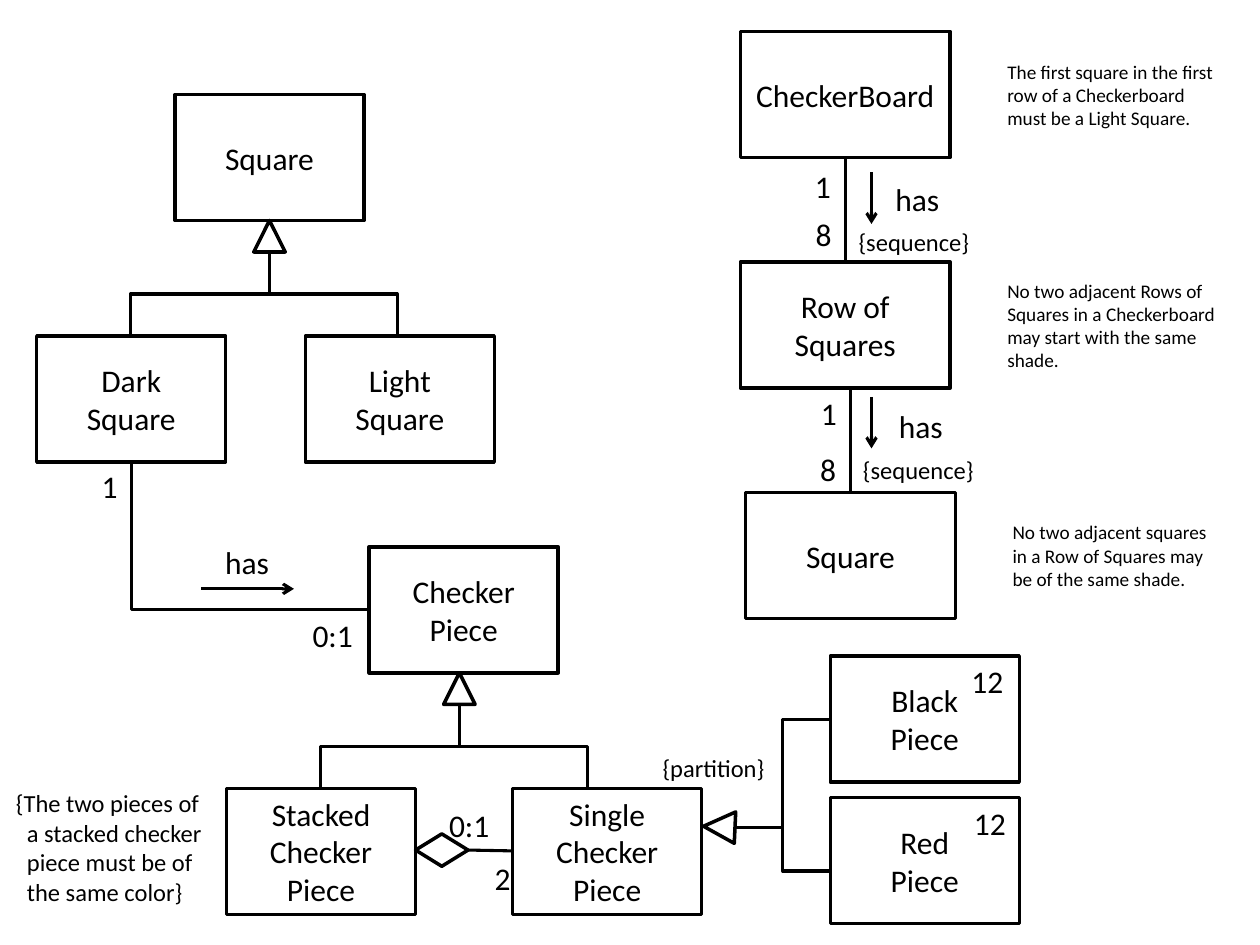
"""Draw a class diagram of a checkers game: squares, pieces and the board."""
from lxml import etree
from pptx import Presentation
from pptx import util as u
from pptx.dml import color
from pptx.enum import shapes, text
from pptx.oxml import ns

COLORS = {"ink": "000000"}
INK = color.RGBColor.from_string(COLORS["ink"])
FONT = "Calibri"
BOX_HEIGHT = 72
CLASS_WIDTH = 108
BOARD_WIDTH = 120
MARKER = 18


def write(shape, words, size, alignment, hanging=0):
    """Fill a shape with one paragraph per line of words."""
    shape.text_frame.text = words
    for index, paragraph in enumerate(shape.text_frame.paragraphs):
        paragraph.alignment = alignment
        paragraph.font.size = u.Pt(size)
        paragraph.font.name = FONT
        paragraph.font.color.rgb = INK
        if index and hanging:
            paragraph._p.get_or_add_pPr().set("marL", str(u.Pt(hanging)))


def add_outline(slide, kind, left, top, width, height):
    """Add an unfilled shape with a black outline."""
    shape = slide.shapes.add_shape(kind, u.Pt(left), u.Pt(top), u.Pt(width), u.Pt(height))
    shape.shadow.inherit = False
    shape.fill.background()
    shape.line.color.rgb = INK
    shape.line.width = u.Pt(2)
    return shape


def add_class(slide, name, left, top, width=CLASS_WIDTH):
    """Add a class box with its centred name."""
    shape = add_outline(slide, shapes.MSO_SHAPE.RECTANGLE, left, top, width, BOX_HEIGHT)
    shape.text_frame.word_wrap = True
    shape.text_frame.vertical_anchor = text.MSO_ANCHOR.MIDDLE
    write(shape, name, 18, text.PP_ALIGN.CENTER)


def add_label(slide, words, left, top, width, height=29, size=18, wrap=False, hanging=0):
    """Add left-aligned text without an outline."""
    label = slide.shapes.add_textbox(u.Pt(left), u.Pt(top), u.Pt(width), u.Pt(height))
    label.text_frame.word_wrap = wrap
    label.text_frame.auto_size = text.MSO_AUTO_SIZE.SHAPE_TO_FIT_TEXT
    write(label, words, size, text.PP_ALIGN.LEFT, hanging)


def add_line(slide, start, end, kind=shapes.MSO_CONNECTOR.STRAIGHT, arrow=False):
    """Add a black connector, with an open arrowhead at its end if asked."""
    connector = slide.shapes.add_connector(kind, *(u.Pt(value) for value in (*start, *end)))
    connector.line.color.rgb = INK
    connector.line.width = u.Pt(1.75)
    properties = connector.element.spPr
    if arrow:
        etree.SubElement(properties.find(ns.qn("a:ln")), ns.qn("a:tailEnd"), type="arrow")
    etree.SubElement(properties, ns.qn("a:effectLst"))
    return connector


def add_drop(slide, start, end):
    """Add an elbow that leaves and arrives vertically."""
    (x1, y1), (x2, y2) = start, end
    middle_x, middle_y = (x1 + x2) / 2, (y1 + y2) / 2
    half_run, half_drop = (x2 - x1) / 2, (y2 - y1) / 2
    connector = add_line(slide, (middle_x - half_drop, middle_y + half_run),
                         (middle_x + half_drop, middle_y - half_run),
                         shapes.MSO_CONNECTOR.ELBOW)
    connector.element.spPr.find(ns.qn("a:xfrm")).set("rot", "5400000")


def generalization(slide, left, top, names, parent_offset, child_step):
    """Draw a parent class above two subclasses."""
    parent, *children = names
    apex, child_top = left + 133, top + 138
    base = top + BOX_HEIGHT + MARKER
    add_class(slide, parent, left + parent_offset, top)
    add_outline(slide, shapes.MSO_SHAPE.ISOSCELES_TRIANGLE,
                apex - MARKER / 2, top + BOX_HEIGHT, MARKER, MARKER)
    for index, (child, branch) in enumerate(zip(children, (53.5, 206))):
        add_class(slide, child, left + index * child_step, child_top)
        add_drop(slide, (apex, base), (left + branch, child_top))


def board_link(slide, x, top, arrow, labels):
    """Draw a line between board classes with its arrow and labels."""
    add_line(slide, (x, top), (x, top + 60))
    arrow_x, arrow_top = arrow
    add_line(slide, (x + arrow_x, top + arrow_top),
             (x + arrow_x, top + arrow_top + 29.5), arrow=True)
    for words, dx, dy, width, size in labels:
        add_label(slide, words, x + dx, top + dy, width, size=size)


def board(slide, left, top):
    """Draw the column of board classes with their rules."""
    rows = [
        ("CheckerBoard", 0, 13, 137.5,
         "The first square in the first row of a Checkerboard must be a Light Square."),
        ("Row of Squares", 0, 6, 137.5,
         "No two adjacent Rows of Squares in a Checkerboard may start with the same shade."),
        ("Square", 3, 12.5, 132,
         "No two adjacent squares in a Row of Squares may be of the same shade."),
    ]
    step = 131.75
    for index, (name, shift, note_drop, note_width, note) in enumerate(rows):
        row_top = top + index * step
        add_class(slide, name, left + shift, row_top, BOARD_WIDTH)
        add_label(slide, note, left + shift + 145.5, row_top + note_drop,
                  note_width, 48, 11, True)
    board_link(slide, left + 60, top + BOX_HEIGHT, (15, 8.5), [
        ("1", -24.5, 2, 24, 18), ("8", -24, 29.5, 24, 18),
        ("{sequence}", 0.5, 36, 78.5, 14), ("has", 21.5, 9.5, 39.5, 18)])
    board_link(slide, left + 63, top + step + BOX_HEIGHT, (12, 5), [
        ("1", -24, 0, 24, 18), ("8", -24.5, 32, 24, 18),
        ("{sequence}", 0, 34.5, 78.5, 14), ("has", 20.5, 7, 39.5, 18)])


def ownership(slide, left, top):
    """Draw the association from a dark square to its checker piece."""
    route = add_line(slide, (left + 136, top + 84.5), (left, top), shapes.MSO_CONNECTOR.ELBOW)
    route.element.spPr.find(ns.qn("a:prstGeom")).set("prst", "bentConnector2")
    add_line(slide, (left + 40, top + 72.5), (left + 93, top + 72.5), arrow=True)
    add_label(slide, "1", left - 24, top - 0.5, 24)
    add_label(slide, "has", left + 46.5, top + 43, 39.5)
    add_label(slide, "0:1", left + 96.5, top + 84.5, 38)


def stacking(slide, left, top):
    """Draw the aggregation of single pieces into a stacked piece."""
    add_outline(slide, shapes.MSO_SHAPE.FLOWCHART_DECISION, left, top, 30, 18.5)
    add_line(slide, (left + 55.5, top + 9.75), (left + 30, top + 9.25))
    add_label(slide, "0:1", left + 12, top - 19.5, 38)
    add_label(slide, "2", left + 38, top + 11, 24)
    rule = "{The two pieces of\na stacked checker\npiece must be of\nthe same color}"
    add_label(slide, rule, left - 235.5, top - 29.5, 121.5, 75, 14, hanging=6.3)


def partition(slide, left, top):
    """Draw the split of single pieces into black and red ones."""
    marker = add_outline(slide, shapes.MSO_SHAPE.ISOSCELES_TRIANGLE,
                         left, top + 88.5, MARKER, MARKER)
    marker.rotation = 272.6
    add_label(slide, "{partition}", left - 30.5, top + 52, 73.5, 24, 14)
    for name, offset, count_shift in (("Black\nPiece", 0, 73.5), ("Red\nPiece", 80.75, 75)):
        class_top = top + offset
        add_class(slide, name, left + 72.5, class_top)
        add_label(slide, "12", left + 72.5 + count_shift, class_top, 33)
        add_line(slide, (left + MARKER, top + 98),
                 (left + 72.5, class_top + (36 if offset == 0 else 42)),
                 shapes.MSO_CONNECTOR.ELBOW)


def main():
    """Build and save the slide."""
    presentation = Presentation()
    presentation.slide_width, presentation.slide_height = u.Pt(720), u.Pt(540)
    slide = presentation.slides.add_slide(presentation.slide_layouts[6])
    generalization(slide, 21, 54, ("Square", "Dark\nSquare", "Light\nSquare"), 79, 153.5)
    generalization(slide, 129.5, 312.5,
                   ("Checker Piece", "Stacked Checker Piece", "Single Checker Piece"),
                   81.5, 163.5)
    board(slide, 423, 18)
    ownership(slide, 75, 264)
    stacking(slide, 237.5, 476.5)
    partition(slide, 402, 375)
    presentation.save("out.pptx")


main()
